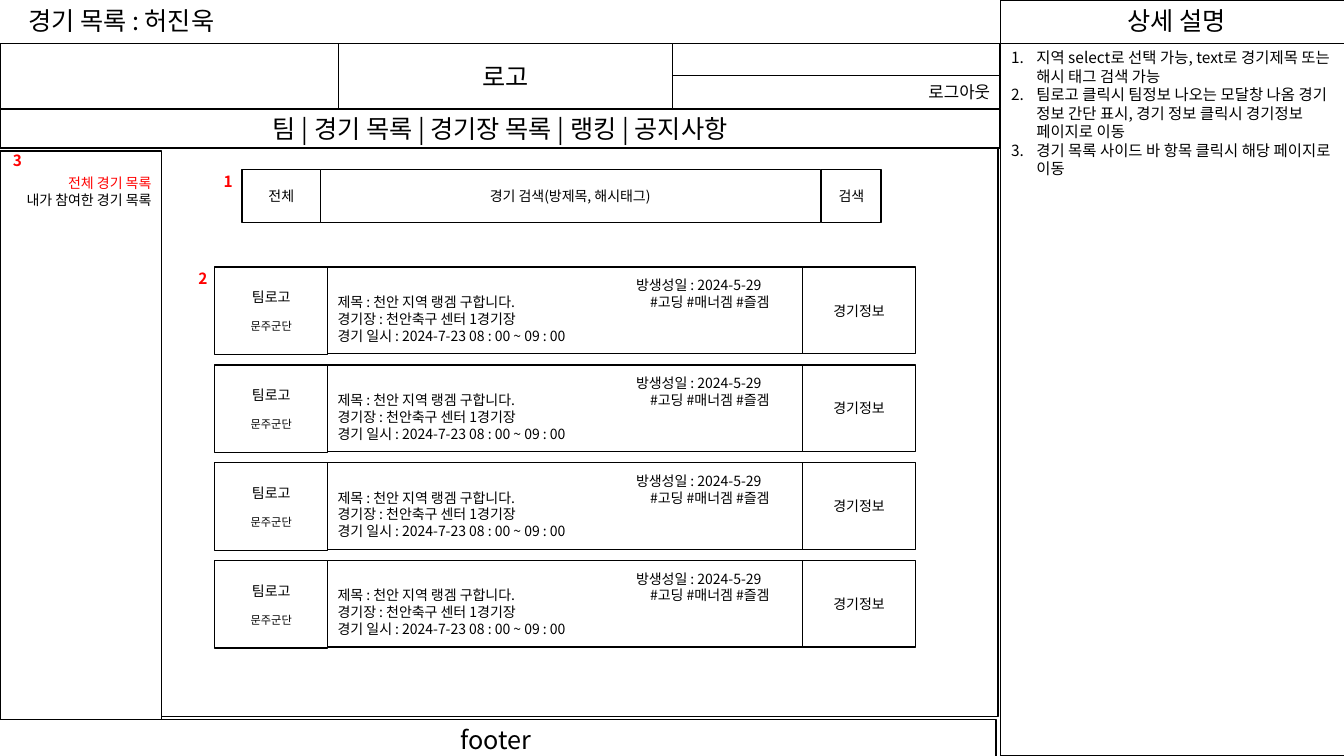
"""Build the match list wireframe slide."""
import pptx
import pptx.util
import pptx.dml.color
import pptx.enum.shapes
import pptx.enum.text
import pptx.oxml.ns
from lxml import etree

Inches = pptx.util.Inches
Pt = pptx.util.Pt
ALIGN = pptx.enum.text.PP_ALIGN
ANCHOR = pptx.enum.text.MSO_ANCHOR
FONT = "Noto Sans CJK KR"
COLORS = {"black": "000000", "white": "FFFFFF", "red": "FF0000"}

GUIDE = [
    "지역 select로 선택 가능, text로 경기제목 또는 해시 태그 검색 가능",
    "팀로고 클릭시 팀정보 나오는 모달창 나옴 경기 정보 간단 표시, 경기 정보 클릭시 경기정보 페이지로 이동",
    "경기 목록 사이드 바 항목 클릭시 해당 페이지로 이동",
]
MATCH_LINES = [
    "\t방생성일 : 2024-5-29",
    "제목 : 천안 지역 랭겜 구합니다.\t#고딩 #매너겜 #즐겜",
    "경기장 : 천안축구 센터 1경기장",
    "경기 일시 : 2024-7-23 08 : 00 ~ 09 : 00",
]
MATCH_TABS = [2.96, 3.1]


def rgb(name):
    """Return the named colour."""
    return pptx.dml.color.RGBColor.from_string(COLORS[name])


def add_paragraph(frame, text, size, align=ALIGN.LEFT, color="black", bold=False):
    """Fill the first empty paragraph, or append one, with a single run."""
    first = frame.paragraphs[0]
    paragraph = frame.add_paragraph() if first.runs else first
    paragraph.alignment = align
    run = paragraph.add_run()
    run.text = text
    run.font.size = Pt(size)
    run.font.bold = bold
    run.font.color.rgb = rgb(color)
    run.font.name = FONT
    properties = run.font._element
    east_asian = etree.SubElement(properties, pptx.oxml.ns.qn("a:ea"))
    east_asian.set("typeface", FONT)
    return paragraph


def add_box(slide, left, top, width, height, text="", size=10, align=ALIGN.CENTER):
    """Add a white outlined rectangle and return its text frame."""
    shape = slide.shapes.add_shape(
        pptx.enum.shapes.MSO_SHAPE.RECTANGLE,
        Inches(left), Inches(top), Inches(width), Inches(height))
    shape.shadow.inherit = False
    shape.fill.solid()
    shape.fill.fore_color.rgb = rgb("white")
    shape.line.color.rgb = rgb("black")
    shape.line.width = Pt(1)
    frame = shape.text_frame
    frame.word_wrap = True
    frame.vertical_anchor = ANCHOR.MIDDLE
    if text:
        add_paragraph(frame, text, size, align)
    return frame


def add_label(slide, left, top, width, height, wrap=True):
    """Add a text box and return its text frame."""
    box = slide.shapes.add_textbox(Inches(left), Inches(top), Inches(width), Inches(height))
    box.text_frame.word_wrap = wrap
    return box.text_frame


def add_marker(slide, left, top, number):
    """Add a red reference number."""
    frame = add_label(slide, left, top, 0.38, 0.29)
    add_paragraph(frame, number, 11, color="red", bold=True)


def add_guide(slide):
    """Add the description panel with its numbered list."""
    add_box(slide, 9.92, 0.43, 3.42, 7.07)
    add_box(slide, 9.92, 0, 3.42, 0.43)
    add_paragraph(add_label(slide, 11.08, 0, 1.3, 0.4, wrap=False), "상세 설명", 18)
    frame = add_label(slide, 9.93, 0.43, 3.38, 1.4)
    for item in GUIDE:
        paragraph = add_paragraph(frame, item, 11)
        properties = paragraph._p.get_or_add_pPr()
        properties.set("marL", str(Inches(0.25)))
        properties.set("indent", str(-Inches(0.25)))
        bullet = etree.SubElement(properties, pptx.oxml.ns.qn("a:buAutoNum"))
        bullet.set("type", "arabicPeriod")


def add_header(slide):
    """Add the page title, logo, login area and navigation."""
    add_box(slide, 0, 0.43, 9.92, 1.04)
    add_box(slide, 3.36, 0.43, 3.31, 0.65, "로고", 18)
    add_box(slide, 0, 1.08, 9.92, 0.39, "팀 | 경기 목록 | 경기장 목록 | 랭킹 | 공지사항", 18)
    add_box(slide, 6.67, 0.75, 3.25, 0.33, "로그아웃", 12, ALIGN.RIGHT)
    add_paragraph(add_label(slide, 0.18, 0, 4.65, 0.4), "경기 목록 : 허진욱", 18)


def add_sidebar(slide):
    """Add the side menu with its current entry in red."""
    frame = add_box(slide, 0, 1.5, 1.6, 5.64)
    frame.vertical_anchor = ANCHOR.TOP
    frame.margin_top = Inches(0.23)
    add_paragraph(frame, "전체 경기 목록", 10, ALIGN.RIGHT, "red")
    add_paragraph(frame, "내가 참여한 경기 목록", 10, ALIGN.RIGHT)
    add_marker(slide, 0.03, 1.45, "3")


def add_search(slide):
    """Add the region selector, search field and button."""
    add_box(slide, 3.17, 1.68, 4.97, 0.53, "경기 검색(방제목, 해시태그)")
    add_box(slide, 2.4, 1.68, 0.78, 0.53, "전체")
    add_box(slide, 8.15, 1.68, 0.59, 0.53, "검색")
    add_marker(slide, 2.12, 1.66, "1")


def add_match(slide, top):
    """Add one match row: details, info button and team."""
    details = add_box(slide, 3.25, top, 4.71, 0.86)
    for line in MATCH_LINES:
        paragraph = add_paragraph(details, line, 10)
        if "\t" in line:
            tab_list = etree.SubElement(paragraph._p.get_or_add_pPr(), pptx.oxml.ns.qn("a:tabLst"))
            position = MATCH_TABS[0] if line.startswith("\t") else MATCH_TABS[1]
            tab = etree.SubElement(tab_list, pptx.oxml.ns.qn("a:tab"))
            tab.set("pos", str(Inches(position)))
            tab.set("algn", "l")
    add_box(slide, 7.96, top, 1.12, 0.86, "경기정보")
    team = add_box(slide, 2.13, top, 1.12, 0.87, "팀로고")
    add_paragraph(team, "문주군단", 8, ALIGN.CENTER).space_before = Pt(10)


def main():
    """Build and save the slide."""
    presentation = pptx.Presentation()
    presentation.slide_width = Inches(13.33)
    presentation.slide_height = Inches(7.5)
    slide = presentation.slides.add_slide(presentation.slide_layouts[6])
    add_guide(slide)
    add_box(slide, -0.02, 1.47, 9.92, 5.64)
    add_header(slide)
    add_box(slide, -0.04, 7.14, 9.92, 0.39, "footer", 18)
    add_search(slide)
    add_sidebar(slide)
    for row in range(4):
        add_match(slide, 2.65 + 0.97 * row)
    add_marker(slide, 1.87, 2.62, "2")
    presentation.save("out.pptx")


if __name__ == "__main__":
    main()
